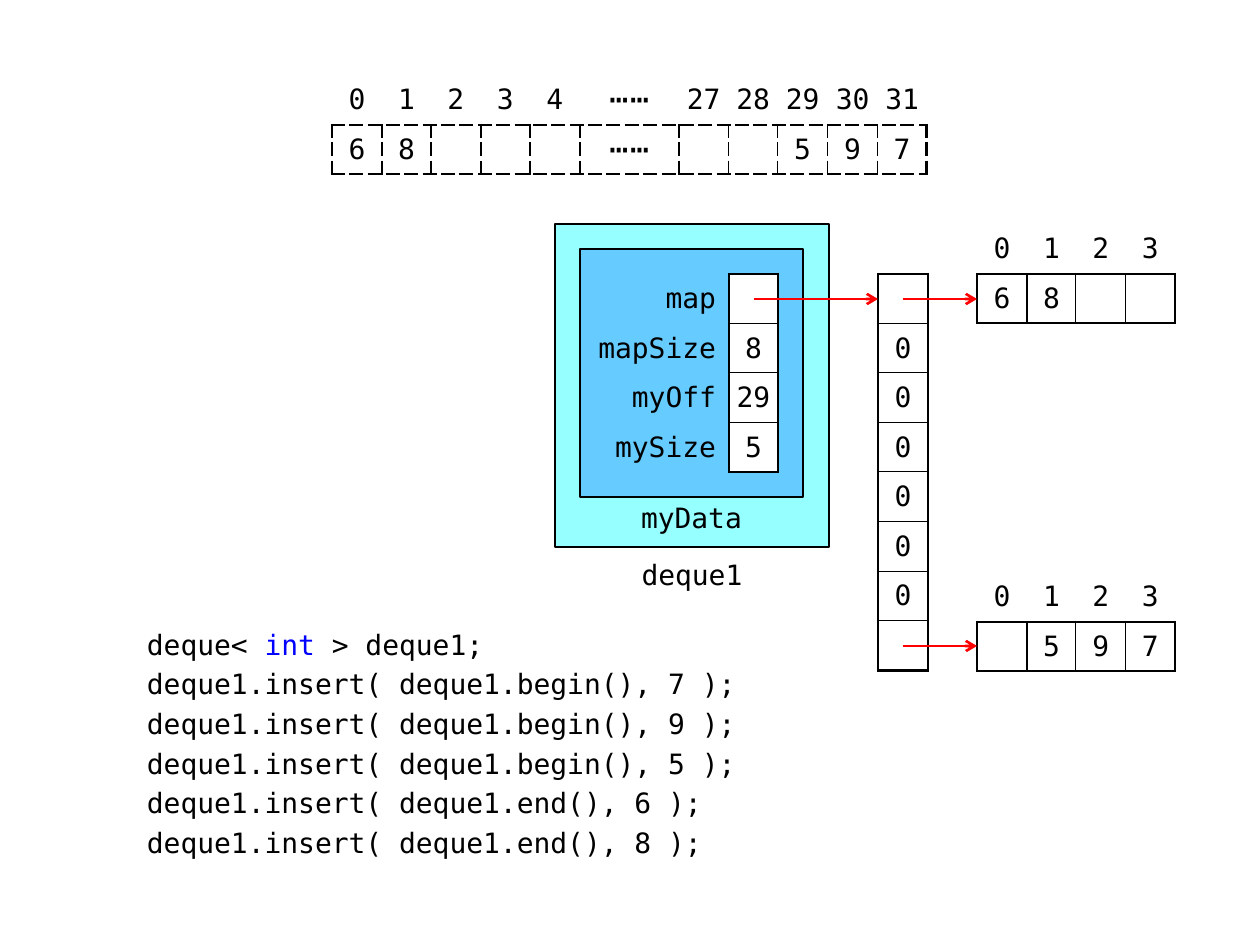
from dataclasses import dataclass
from itertools import product
from typing import Any

import lxml.etree
import pptx
import pptx.dml.color
import pptx.enum.shapes
import pptx.enum.text
import pptx.oxml.ns
import pptx.util

EMU_PER_PIXEL = 914400 / 126
CELL = 49.6
FONT = "DejaVu Sans Mono"
BLACK, WHITE, RED, BLUE = "000000", "FFFFFF", "FF0000", "0000FF"
NO_STYLE = "{2D5ABB26-0587-4C30-8999-92F81FD0307C}"
SIDES = {"lnL": (0, -1), "lnR": (0, 1), "lnT": (-1, 0), "lnB": (1, 0)}
DOTS = "⋯⋯"
Align = pptx.enum.text.PP_ALIGN
Anchor = pptx.enum.text.MSO_ANCHOR
qn = pptx.oxml.ns.qn


@dataclass
class Grid:
    """A table whose cells from (first_row, first_col) on are framed."""
    left: int
    top: int
    rows: list[list[str]]
    spans: list[int]
    first_row: int = 0
    first_col: int = 0
    inner: float = 0.75
    dash: str = "solid"


@dataclass
class Box:
    """A filled rectangle."""
    bounds: tuple[int, int, int, int]
    fill: str


@dataclass
class Caption:
    """A block of text; each line is a list of (text, colour) pieces."""
    bounds: tuple[int, int, int, int]
    lines: list[list[tuple[str, str]]]
    margins: tuple[int, int, int, int]
    align: Any = Align.CENTER
    anchor: Any = Anchor.TOP
    space_before: float = 0


@dataclass
class Arrow:
    """A horizontal pointer arrow."""
    start: int
    end: int
    y: int


def px(pixels: int) -> int:
    """Turn pixels into EMU."""
    return pptx.util.Emu(round(pixels * EMU_PER_PIXEL))


def colour(value: str) -> pptx.dml.color.RGBColor:
    """Turn a hex string into a colour."""
    return pptx.dml.color.RGBColor.from_string(value)


def apply(target: Any, formats: dict[str, Any]) -> None:
    """Set every attribute named in formats."""
    for name, value in formats.items():
        setattr(target, name, value)


def margins(values: tuple[int, int, int, int]) -> dict[str, int]:
    """Name the left, top, right and bottom margins."""
    names = ("margin_left", "margin_top", "margin_right", "margin_bottom")
    return {name: px(value) for name, value in zip(names, values)}


def add_run(paragraph: Any, text: str, ink: str = BLACK, size: int = 16) -> Any:
    """Add one formatted run."""
    run = paragraph.add_run()
    run.text = text
    apply(run.font, {"size": pptx.util.Pt(size), "name": FONT})
    run.font.color.rgb = colour(ink)
    lxml.etree.SubElement(run.font._element, qn("a:ea"), typeface=FONT)
    return run


def add_cell_text(cell: Any, text: str, align: Any) -> None:
    """Write a cell's text; the dots are larger and slightly spaced."""
    paragraph = cell.text_frame.paragraphs[0]
    paragraph.alignment = align
    if text == DOTS:
        first = add_run(paragraph, text[0], size=18)
        first.font._element.set("spc", "100")
        add_run(paragraph, text[1], size=18)
    elif text:
        add_run(paragraph, text)


def add_border(cell: Any, side: str, width: float, dash: str) -> None:
    """Draw one side of a cell."""
    line = lxml.etree.SubElement(cell._tc.get_or_add_tcPr(), qn("a:" + side),
                                 w=str(pptx.util.Pt(width)))
    fill = lxml.etree.SubElement(line, qn("a:solidFill"))
    lxml.etree.SubElement(fill, qn("a:srgbClr"), val=BLACK)
    lxml.etree.SubElement(line, qn("a:prstDash"), val=dash)


def add_grid(shapes: Any, grid: Grid) -> None:
    """Draw a table with a thick frame and thin inner lines."""
    height, width = len(grid.rows), len(grid.spans)
    xs = [round(CELL * sum(grid.spans[:i])) for i in range(width + 1)]
    ys = [round(CELL * i) for i in range(height + 1)]
    table = shapes.add_table(height, width, px(grid.left), px(grid.top),
                             px(xs[-1]), px(ys[-1])).table
    apply(table, {"first_row": False, "horz_banding": False})
    table._tbl.tblPr.find(qn("a:tableStyleId")).text = NO_STYLE
    for column, left, right in zip(table.columns, xs, xs[1:]):
        column.width = px(right - left)
    for row, top, bottom in zip(table.rows, ys, ys[1:]):
        row.height = px(bottom - top)

    def framed(row: int, col: int) -> bool:
        """Tell whether a cell lies inside the frame."""
        return grid.first_row <= row < height and grid.first_col <= col < width

    for row, col in product(range(height), range(width)):
        cell = table.cell(row, col)
        label = col < grid.first_col
        side_gap = 13 if label else 5
        apply(cell, {"vertical_anchor": Anchor.MIDDLE,
                     **margins((side_gap, 5, side_gap, 5))})
        add_cell_text(cell, grid.rows[row][col], Align.RIGHT if label else Align.CENTER)
        for side, (down, across) in SIDES.items():
            pair = framed(row, col), framed(row + down, col + across)
            if any(pair):
                add_border(cell, side, grid.inner if all(pair) else 1.5, grid.dash)
        if framed(row, col):
            cell.fill.solid()
            cell.fill.fore_color.rgb = colour(WHITE)
        else:
            cell.fill.background()


def add_box(shapes: Any, box: Box) -> None:
    """Draw a filled rectangle with a black outline."""
    kind = pptx.enum.shapes.MSO_SHAPE.FLOWCHART_PROCESS
    shape = shapes.add_shape(kind, *map(px, box.bounds))
    shape.shadow.inherit = False
    shape.fill.solid()
    shape.fill.fore_color.rgb = colour(box.fill)
    shape.line.color.rgb = colour(BLACK)
    shape.line.width = pptx.util.Pt(1.5)


def add_caption(shapes: Any, caption: Caption) -> None:
    """Write a block of text."""
    frame = shapes.add_textbox(*map(px, caption.bounds)).text_frame
    apply(frame, {"word_wrap": True, "vertical_anchor": caption.anchor,
                  **margins(caption.margins)})
    for number, pieces in enumerate(caption.lines):
        paragraph = frame.add_paragraph() if number else frame.paragraphs[0]
        apply(paragraph, {"alignment": caption.align,
                          "space_before": pptx.util.Pt(caption.space_before)})
        for text, ink in pieces:
            add_run(paragraph, text, ink)


def add_arrow(shapes: Any, arrow: Arrow) -> None:
    """Draw a red arrow."""
    pointer = shapes.add_connector(pptx.enum.shapes.MSO_CONNECTOR.STRAIGHT, px(arrow.start),
                                   px(arrow.y), px(arrow.end), px(arrow.y))
    pointer.line.color.rgb = colour(RED)
    pointer.line.width = pptx.util.Pt(1.5)
    lxml.etree.SubElement(pointer.line._get_or_add_ln(), qn("a:tailEnd"), type="arrow")
    lxml.etree.SubElement(pointer._element.spPr, qn("a:effectLst"))


BOXES = [Box((555, 224, 274, 323), "96FFFF"), Box((580, 249, 223, 248), "66CCFF")]
INSERTS = [("begin", 7), ("begin", 9), ("begin", 5), ("end", 6), ("end", 8)]
CODE = [[("deque< ", BLACK), ("int", BLUE), (" > deque1;", BLACK)]]
CODE += [[(f"deque1.insert( deque1.{place}(), {value} );", BLACK)] for place, value in INSERTS]
CAPTIONS = [
    Caption((605, 547, 174, 50), [[("deque1", BLACK)]], (10, 5, 10, 0), anchor=Anchor.MIDDLE),
    Caption((630, 498, 123, 50), [[("myData", BLACK)]], (10, 3, 10, 0)),
    Caption((134, 621, 620, 248), CODE, (13, 6, 13, 6), Align.LEFT, space_before=3.5),
]
INDEXES = ["0", "1", "2", "3"]
GRIDS = [
    Grid(580, 274, [["map", ""], ["mapSize", "8"], ["myOff", "29"], ["mySize", "5"]],
         [3, 1], first_col=1),
    Grid(878, 274, [[""], *[["0"]] * 6, [""]], [1]),
    Grid(332, 75, [[*INDEXES, "4", DOTS, "27", "28", "29", "30", "31"],
                   ["6", "8", "", "", "", DOTS, "", "", "5", "9", "7"]],
         [1] * 5 + [2] + [1] * 5, first_row=1, inner=1, dash="sysDash"),
    Grid(977, 224, [INDEXES, ["6", "8", "", ""]], [1] * 4, first_row=1),
    Grid(977, 572, [INDEXES, ["", "5", "9", "7"]], [1] * 4, first_row=1),
]
ARROWS = [Arrow(754, 878, 299), Arrow(903, 977, 299), Arrow(903, 977, 646)]

deck = pptx.Presentation()
apply(deck, {"slide_width": px(1260), "slide_height": px(945)})
canvas = deck.slides.add_slide(deck.slide_layouts[6]).shapes
for draw, items in ((add_box, BOXES), (add_caption, CAPTIONS),
                    (add_grid, GRIDS), (add_arrow, ARROWS)):
    for item in items:
        draw(canvas, item)
deck.save("out.pptx")
